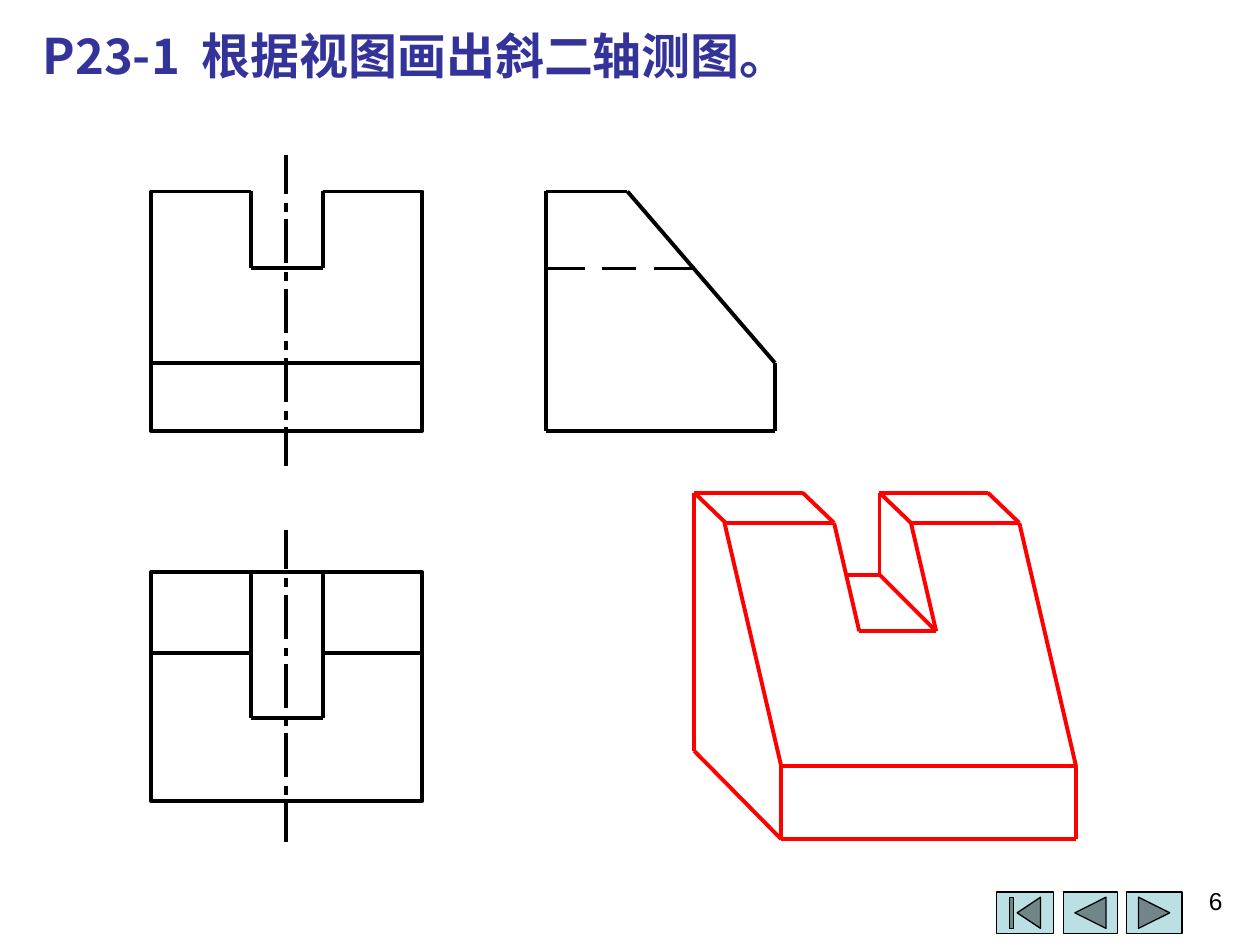
from itertools import pairwise

from lxml import etree
from pptx import Presentation
from pptx.dml.color import RGBColor
from pptx.enum import shapes, text
from pptx.oxml.ns import qn
from pptx.util import Emu, Pt

PX = 9144
COLORS = {"ink": "000000", "answer": "FF0000", "title": "333399", "button": "BBE0E3"}
BOLD, THIN = 2.25, 0


def px(*lengths):
    return [Emu(round(length * PX)) for length in lengths]


def rgb(name):
    return RGBColor.from_string(COLORS[name])


def assign(target, values):
    for key, value in values.items():
        setattr(target, key, value)


def outline(shape, color, width):
    shape.line.color.rgb = rgb(color)
    shape.line.width = Pt(width)


def open_body(shape):
    outline(shape, "ink", BOLD)
    shape.fill.background()
    shape.shadow.inherit = False


def stroke(view, box, points, color="ink", width=BOLD):
    left, top = box[:2]
    for (x1, y1), (x2, y2) in pairwise(points):
        edge = view.shapes.add_connector(
            shapes.MSO_CONNECTOR.STRAIGHT,
            *px(left + x1, top + y1, left + x2, top + y2))
        outline(edge, color, width)
        etree.SubElement(edge._element.spPr, qn("a:effectLst"))


def center_line(view, box, x, overhang):
    length = 247
    dashes = [(0, 31)]
    for start in range(38, length, 55):
        dashes += [(start, start + 7), (start + 13, min(start + 48, length))]
    for start, end in dashes:
        stroke(view, box, [(x, start - overhang), (x, end - overhang)], width=THIN)


def front_view(slide, box):
    left, top, w, h = box
    view = slide.shapes.add_group_shape()
    slot_left, slot_right, depth = 79, 136, 61
    builder = view.shapes.build_freeform(left + slot_right, top, scale=PX)
    corners = [(w, 0), (w, h), (0, h), (0, 0), (slot_left, 0)]
    builder.add_line_segments([(left + x, top + y) for x, y in corners], close=False)
    open_body(builder.convert_to_shape())
    stroke(view, box, [(slot_left, 0), (slot_left, depth),
                       (slot_right, depth), (slot_right, 0)])
    stroke(view, box, [(w, 136), (0, 136)])
    center_line(view, box, 107, 29)


def top_view(slide, box):
    w = box[2]
    view = slide.shapes.add_group_shape()
    slot_left, slot_right, depth, ridge = 79, 136, 116, 64
    open_body(view.shapes.add_shape(shapes.MSO_SHAPE.RECTANGLE, *px(*box)))
    for start, end in ((w, slot_right), (slot_left, 0)):
        stroke(view, box, [(start, ridge), (end, ridge)])
    stroke(view, box, [(slot_left, 0), (slot_left, depth),
                       (slot_right, depth), (slot_right, 0)])
    center_line(view, box, 107, 33)


def side_view(slide, box):
    w, h = box[2:]
    view = slide.shapes.add_group_shape()
    stroke(view, box, [(0, h), (w, h), (w, 136), (65, 0), (0, 0), (0, h)])
    for start, end in ((0, 31), (45, 72), (86, 117)):
        stroke(view, box, [(start, 61), (end, 61)], width=THIN)


def oblique_view(slide, box):
    w, h = box[2:]
    view = slide.shapes.add_group_shape()
    front, shoulder, bevel = 69, 217, 24
    slot_back, slot_front = (147, 65), (192, 110)
    edges = [
        [(0, 0), (0, 205), (front, h), (w, h), (w, shoulder),
         (front, shoulder), (front, h)],
        [(bevel, bevel), (front, shoulder)],
        [(233 + 25, bevel), (w, shoulder)],
        [(111, bevel), (131, 110), slot_front, (172, bevel)],
        [(147, 0), slot_back, slot_front],
        [slot_back, (120, 65)],
    ]
    for start in (0, 147):
        end = start + 86
        edges.append([(start, 0), (end, 0), (end + 25, bevel),
                      (start + 25, bevel), (start, 0)])
    for edge in edges:
        stroke(view, box, edge, "answer")


def navigation(slide, box):
    left, top, w, h = box
    kinds = shapes.MSO_SHAPE
    for kind, x, width in ((kinds.ACTION_BUTTON_FORWARD_OR_NEXT, 103, 44),
                           (kinds.ACTION_BUTTON_BACK_OR_PREVIOUS, 53, 43),
                           (kinds.ACTION_BUTTON_BEGINNING, 0, 45)):
        button = slide.shapes.add_shape(kind, *px(left + x, top, width, h))
        button.fill.solid()
        button.fill.fore_color.rgb = rgb("button")
        outline(button, "ink", 0.75)
        button.shadow.inherit = False


def write(slide, box, pieces, align, font):
    frame = slide.shapes.add_textbox(*px(*box)).text_frame
    frame.word_wrap = True
    paragraph = frame.paragraphs[0]
    paragraph.alignment = align
    for words, spacing in pieces:
        run = paragraph.add_run()
        run.text = words
        assign(run.font, {key: font[key] for key in ("name", "size", "bold")})
        run.font.color.rgb = rgb(font["color"])
        properties = run.font._element
        etree.SubElement(properties, qn("a:ea")).set("typeface", font["name"])
        if spacing:
            properties.set("spc", str(spacing))


def main():
    deck = Presentation()
    assign(deck, {"slide_width": Emu(1000 * PX), "slide_height": Emu(750 * PX)})
    slide = deck.slides.add_slide(deck.slide_layouts[6])
    navigation(slide, (791, 708, 147, 33))
    write(slide, (24, 15, 933, 57),
          [("P23-1", 0), (" ", 600), ("根据视图画出斜二轴测图。", 0)],
          text.PP_ALIGN.LEFT,
          {"name": "Noto Sans CJK SC", "size": Pt(28), "bold": True, "color": "title"})
    front_view(slide, (120, 152, 215, 190))
    top_view(slide, (120, 454, 215, 182))
    side_view(slide, (433, 152, 182, 190))
    oblique_view(slide, (551, 391, 303, 275))
    write(slide, (747, 698, 233, 52), [("6", 0)], text.PP_ALIGN.RIGHT,
          {"name": "Arial", "size": Pt(14), "bold": False, "color": "ink"})
    deck.save("out.pptx")


if __name__ == "__main__":
    main()
